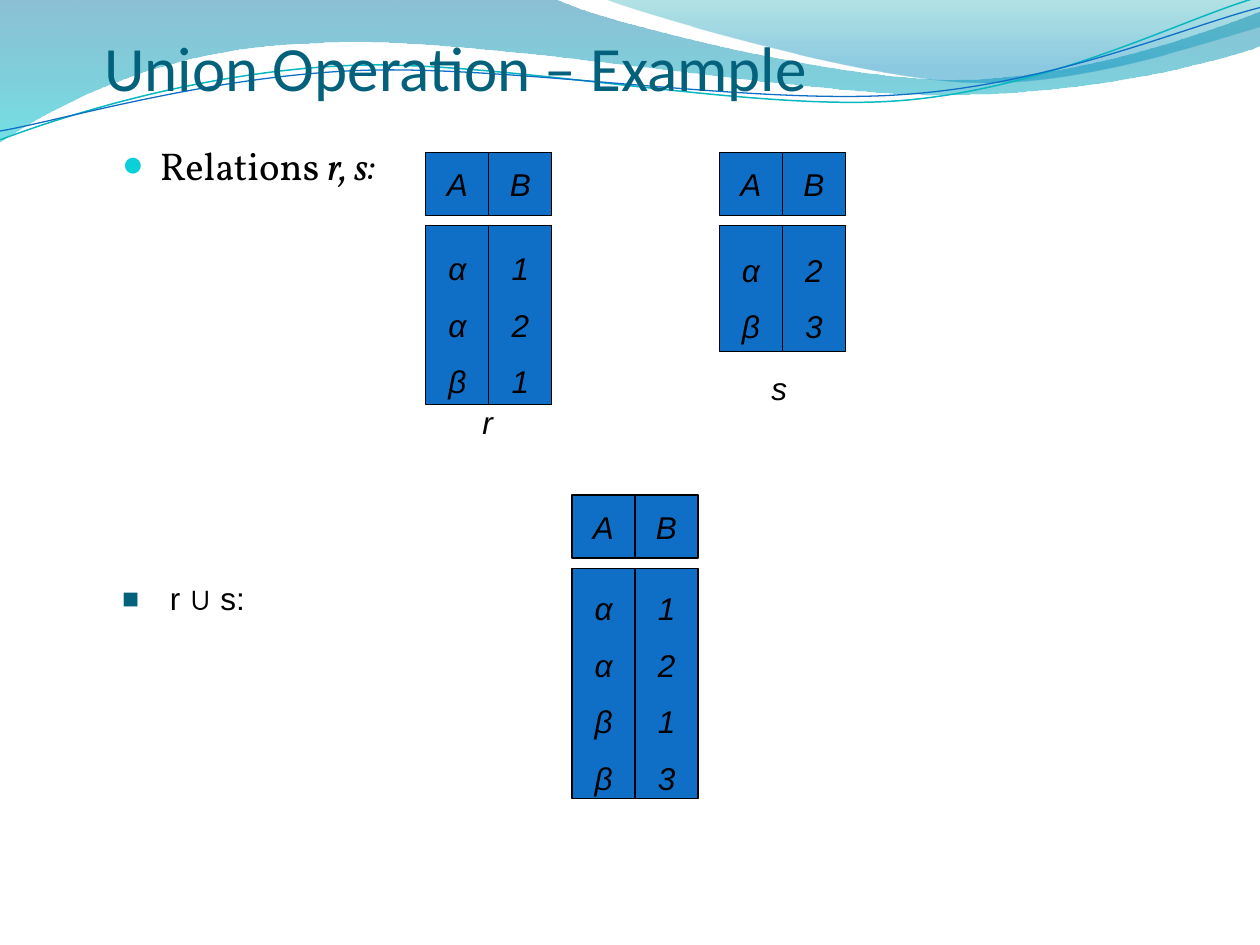
"""Build the slide that shows the union of two relations."""
from dataclasses import dataclass
from math import cos, radians, sin
from typing import Optional

from lxml.etree import SubElement
from pptx import Presentation
from pptx.dml.color import RGBColor
from pptx.enum.shapes import MSO_SHAPE
from pptx.enum.text import MSO_ANCHOR, PP_ALIGN
from pptx.oxml.ns import qn
from pptx.util import Inches, Pt

BLACK = RGBColor(0x00, 0x00, 0x00)
BLUE = RGBColor(0x0F, 0x6F, 0xC6)
DARK_TEAL = RGBColor(0x04, 0x61, 0x7B)
CYAN = RGBColor(0x0B, 0xD0, 0xD9)
WAVE_TEAL = RGBColor(0x0A, 0xB8, 0xBF)
DEEP_BLUE = RGBColor(0x00, 0x74, 0xA1)
TURQUOISE = RGBColor(0x00, 0xC6, 0xCF)
SEA_GREEN = RGBColor(0x00, 0xA1, 0xA9)
SKY_BLUE = RGBColor(0x00, 0x8B, 0xBF)

CELL = 0.5
BODY_OFFSET = 0.58
TILT = -2.7
TILT_CENTER = (4.99, 0.58)


@dataclass(frozen=True)
class Stop:
    position: float
    color: RGBColor
    opacity: int


@dataclass(frozen=True)
class Wave:
    """An outline whose segments hold one point (line) or three (curve)."""
    start: tuple
    segments: tuple
    stops: tuple = ()
    color: Optional[RGBColor] = None
    width: float = 0
    tilt: float = 0


@dataclass(frozen=True)
class Relation:
    left: float
    top: float
    body_height: float
    columns: dict


@dataclass(frozen=True)
class Bullet:
    char: str
    color: RGBColor
    size: int
    indent: float


@dataclass(frozen=True)
class Label:
    box: tuple
    runs: tuple
    font: str = "Arial"
    size: float = 18
    color: RGBColor = BLACK
    bullet: Optional[Bullet] = None
    spacing: float = 1.0
    centered: bool = False


WAVES = (
    Wave((0, 0), (
        ((4.4, -0.01),),
        ((4.76, 0.17), (6.64, 0.63), (7.58, 0.63)),
        ((8.53, 0.63), (9.58, 0.26), (10, 0.09)),
        ((10.01, 0.36),),
        ((9.83, 0.44), (8.7, 0.76), (7.46, 0.75)),
        ((6.22, 0.75), (3.82, 0.28), (2.57, 0.34)),
        ((1.29, 0.36), (0.46, 0.83), (-0.01, 1.13)),
        ((0, 0),),
    ), stops=(Stop(0, DEEP_BLUE, 45), Stop(1, TURQUOISE, 55))),
    Wave((4.79, -0.01), (
        ((5.09, 0.11), (6.82, 0.62), (7.69, 0.65)),
        ((8.56, 0.69), (9.61, 0.32), (10, 0.21)),
        ((10, 0),),
        ((4.79, -0.01),),
    ), stops=(Stop(0, SEA_GREEN, 30), Stop(0.8, SKY_BLUE, 45))),
    Wave((0, 1.11), (
        ((0.48, 0.93), (1.58, 0.57), (2.77, 0.52)),
        ((3.95, 0.47), (5.93, 0.89), (7.13, 0.8)),
        ((8.33, 0.71), (9.38, 0.15), (9.98, -0.02)),
    ), color=WAVE_TEAL, width=0.85, tilt=TILT),
    Wave((0, 1.04), (
        ((0.47, 0.96), (1.64, 0.61), (2.83, 0.56)),
        ((4.03, 0.51), (5.97, 0.84), (7.17, 0.75)),
        ((8.36, 0.67), (9.41, 0.21), (10, 0.06)),
    ), color=BLUE, width=0.75, tilt=TILT),
)

RELATIONS = (
    Relation(3.38, 1.21, 1.42, {"A": "ααβ", "B": "121"}),
    Relation(5.71, 1.21, 1, {"A": "αβ", "B": "23"}),
    Relation(4.54, 3.93, 1.83, {"A": "ααββ", "B": "1213"}),
)

LABELS = (
    Label((0.87, 1.18, 7.5, 0.37), (("Relations ", False), ("r, s:", True)),
          "Vollkorn", 22.1, bullet=Bullet("●", CYAN, 95, 0.3), spacing=0.7),
    Label((0.87, 4.58, 7.69, 0.36), (("r ∪ s:", False),),
          bullet=Bullet("■", DARK_TEAL, 90, 0.38), spacing=0.9),
    Label((3.73, 3.15, 0.28, 0.4), (("r", True),), centered=True),
    Label((6.02, 2.88, 0.33, 0.4), (("s", True),), centered=True),
)


def level(point: tuple, tilt: float) -> tuple:
    angle = radians(-tilt)
    dx, dy = (value - middle for value, middle in zip(point, TILT_CENTER))
    return (Inches(TILT_CENTER[0] + dx * cos(angle) - dy * sin(angle)),
            Inches(TILT_CENTER[1] + dx * sin(angle) + dy * cos(angle)))


def bend(shape, segments: list) -> None:
    for line, segment in zip(list(shape.element.iter(qn("a:lnTo"))), segments):
        if len(segment) == 3:
            line.tag = qn("a:cubicBezTo")
            line.remove(line[0])
            for x, y in segment:
                SubElement(line, qn("a:pt"), x=str(x - shape.left), y=str(y - shape.top))


def draw_wave(slide, wave: Wave) -> None:
    segments = [[level(point, wave.tilt) for point in part] for part in wave.segments]
    builder = slide.shapes.build_freeform(*level(wave.start, wave.tilt))
    builder.add_line_segments([part[-1] for part in segments], close=bool(wave.stops))
    shape = builder.convert_to_shape()
    bend(shape, segments)
    shape.rotation = wave.tilt
    shape.shadow.inherit = False
    if not wave.stops:
        shape.fill.background()
        shape.line.color.rgb = wave.color
        shape.line.width = Pt(wave.width)
        return
    shape.line.fill.background()
    shape.fill.gradient()
    shape.fill.gradient_angle = 270
    for target, stop in zip(shape.fill.gradient_stops, wave.stops):
        target.position = stop.position
        target.color.rgb = stop.color
    for color, stop in zip(shape.element.spPr.iter(qn("a:srgbClr")), wave.stops):
        SubElement(color, qn("a:alpha"), val=str(stop.opacity * 1000))


def format_run(run, font: str, size: float, color: RGBColor, italic: bool) -> None:
    run.font.name = font
    run.font.size = Pt(size)
    run.font.color.rgb = color
    run.font.italic = italic


def add_bullet(paragraph, bullet: Bullet) -> None:
    properties = paragraph._p.get_or_add_pPr()
    properties.set("marL", str(Inches(bullet.indent)))
    properties.set("indent", str(-Inches(bullet.indent)))
    color = SubElement(properties, qn("a:buClr"))
    SubElement(color, qn("a:srgbClr"), val=str(bullet.color))
    SubElement(properties, qn("a:buSzPct"), val=str(bullet.size * 1000))
    SubElement(properties, qn("a:buFont"), typeface="Arial")
    SubElement(properties, qn("a:buChar"), char=bullet.char)


def draw_label(slide, label: Label):
    frame = slide.shapes.add_textbox(*map(Inches, label.box)).text_frame
    frame.word_wrap = not label.centered
    paragraph = frame.paragraphs[0]
    paragraph.line_spacing = label.spacing
    if label.centered:
        frame.vertical_anchor = MSO_ANCHOR.MIDDLE
        paragraph.alignment = PP_ALIGN.CENTER
    if label.bullet:
        add_bullet(paragraph, label.bullet)
    for text, italic in label.runs:
        run = paragraph.add_run()
        run.text = text
        format_run(run, label.font, label.size, label.color, italic)
    return frame


def draw_title(slide) -> None:
    frame = draw_label(slide, Label((0.83, 0.25, 8.5, 0.58),
                                    (("Union Operation – Example", False),),
                                    "Calibri", 36, DARK_TEAL))
    frame.vertical_anchor = MSO_ANCHOR.BOTTOM
    frame.margin_left = frame.margin_right = frame.margin_bottom = 0


def draw_box(slide, box: tuple, values: str, spacing: float) -> None:
    shape = slide.shapes.add_shape(MSO_SHAPE.RECTANGLE, *map(Inches, box))
    shape.shadow.inherit = False
    shape.fill.solid()
    shape.fill.fore_color.rgb = BLUE
    shape.line.color.rgb = BLACK
    shape.line.width = Pt(0.75)
    frame = shape.text_frame
    frame.word_wrap = False
    frame.vertical_anchor = MSO_ANCHOR.MIDDLE
    frame.text = "\n".join(values)
    for paragraph in frame.paragraphs:
        paragraph.alignment = PP_ALIGN.CENTER
        paragraph.line_spacing = spacing
        format_run(paragraph.runs[0], "Arial", 18, BLACK, True)


def draw_relation(slide, relation: Relation) -> None:
    for index, (heading, values) in enumerate(relation.columns.items()):
        left = relation.left + index * CELL
        draw_box(slide, (left, relation.top, CELL, CELL), heading, 1.0)
        draw_box(slide, (left, relation.top + BODY_OFFSET, CELL, relation.body_height),
                 values, 1.5)


def main() -> None:
    deck = Presentation()
    deck.slide_width, deck.slide_height = Inches(10), Inches(7.5)
    slide = deck.slides.add_slide(deck.slide_layouts[6])
    for wave in WAVES:
        draw_wave(slide, wave)
    draw_title(slide)
    for label in LABELS:
        draw_label(slide, label)
    for relation in RELATIONS:
        draw_relation(slide, relation)
    deck.save("out.pptx")


if __name__ == "__main__":
    main()
